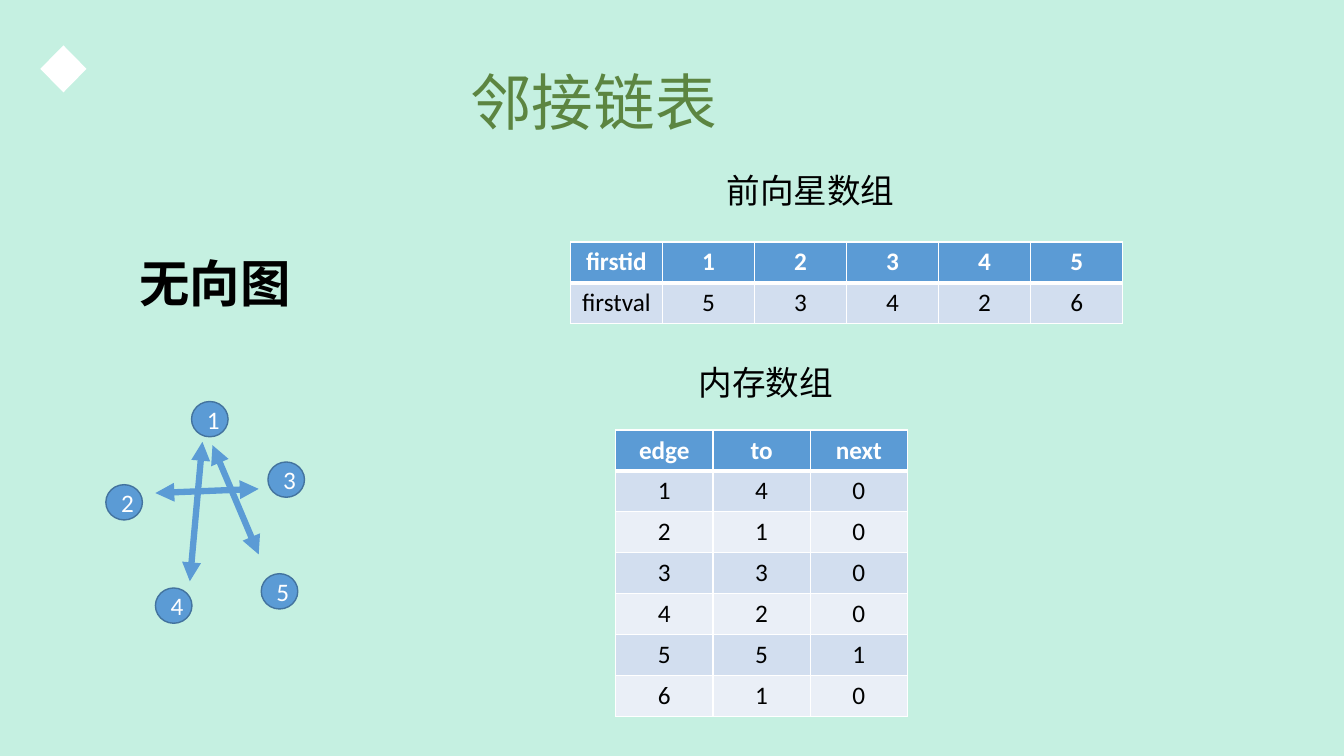
from lxml.etree import SubElement
from pptx import Presentation
from pptx.dml.color import RGBColor
from pptx.enum.shapes import MSO_CONNECTOR as Link, MSO_SHAPE as Preset
from pptx.enum.text import MSO_ANCHOR as Anchor, MSO_AUTO_SIZE as Fit, PP_ALIGN as Align
from pptx.oxml.ns import qn
from pptx.util import Inches, Pt

COLUMNS, ROWS = 160, 90
SLIDE_WIDTH, SLIDE_HEIGHT = Inches(13.33), Inches(7.5)

MINT, WHITE, BLACK, GREEN = "C5F0E1", "FFFFFF", "000000", "5C8541"
BLUE, NAVY, BANDS = "5B9BD5", "43739E", ("D2DEEF", "EAEFF7")
LATIN, CHINESE = "Calibri", "Noto Sans CJK SC"


def paint(fill, colour):
    fill.solid()
    fill.fore_color.rgb = RGBColor.from_string(colour)


def apply(target, values):
    for name, value in values.items():
        setattr(target, name, value)


class Board:
    def __init__(self, slide):
        self.slide = slide
        self.shapes = slide.shapes
        paint(slide.background.fill, MINT)

    def across(self, columns):
        return round(SLIDE_WIDTH * columns / COLUMNS)

    def down(self, rows):
        return round(SLIDE_HEIGHT * rows / ROWS)

    def box(self, left, top, width, height):
        return self.across(left), self.down(top), self.across(width), self.down(height)

    def wording(self, frame, words, size, colour, bold=False, align=Align.LEFT, face=LATIN):
        paragraph = frame.paragraphs[0]
        paragraph.alignment = align
        run = paragraph.add_run()
        run.text = words
        apply(run.font, {"name": face, "size": Pt(size), "bold": bold})
        paint(run.font.fill, colour)
        SubElement(run.font._element, qn("a:ea"), typeface=CHINESE)

    def text(self, place, words, size, colour=BLACK, **style):
        frame = self.shapes.add_textbox(*self.box(*place)).text_frame
        apply(frame, {"word_wrap": True, "auto_size": Fit.SHAPE_TO_FIT_TEXT})
        self.wording(frame, words, size, colour, **style)

    def shape(self, preset, place, fill, outline=None, words=None):
        shape = self.shapes.add_shape(preset, *self.box(*place))
        shape.shadow.inherit = False
        paint(shape.fill, fill)
        if outline:
            paint(shape.line.fill, outline)
            shape.line.width = Pt(1)
        else:
            shape.line.fill.background()
        if words:
            shape.text_frame.vertical_anchor = Anchor.MIDDLE
            self.wording(shape.text_frame, words, 18, WHITE, align=Align.CENTER)

    def double_arrow(self, start, end):
        arrow = self.shapes.add_connector(Link.STRAIGHT, *self.box(*start, *end))
        paint(arrow.line.fill, BLUE)
        arrow.line.width = Pt(4.5)
        properties = arrow._element.spPr
        for tip in ("a:headEnd", "a:tailEnd"):
            SubElement(properties.find(qn("a:ln")), qn(tip), type="triangle")
        SubElement(properties, qn("a:effectLst"))

    def borders(self, cell, widths):
        for side, width in widths.items():
            line = SubElement(cell._tc.get_or_add_tcPr(), qn(f"a:ln{side}"), w=str(int(Pt(width))))
            solid = SubElement(line, qn("a:solidFill"))
            SubElement(solid, qn("a:srgbClr"), val=WHITE)

    def table(self, left, top, column, row, records):
        count, fields = len(records), len(records[0])
        place = self.box(left, top, column * fields, row * count)
        table = self.shapes.add_table(count, fields, *place).table
        for track in table.columns:
            track.width = self.across(column)
        for track in table.rows:
            track.height = self.down(row)
        for r, record in enumerate(records):
            header = r == 0
            edges = {"L": 1, "R": 1, "T": 1, "B": 3} if header else {"L": 1, "R": 1, "B": 1}
            for c, value in enumerate(record):
                cell = table.cell(r, c)
                self.borders(cell, edges)
                paint(cell.fill, BLUE if header else BANDS[(r - 1) % 2])
                self.wording(cell.text_frame, str(value), 18, WHITE if header else BLACK,
                             bold=header, align=Align.CENTER)


def main():
    deck = Presentation()
    apply(deck, {"slide_width": SLIDE_WIDTH, "slide_height": SLIDE_HEIGHT})
    board = Board(deck.slides.add_slide(deck.slide_layouts[6]))

    board.shape(Preset.DIAMOND, (4.8, 5.4, 5.5, 5.6), WHITE)
    board.text((54.8, 7, 56.3, 10.1), "邻接链表", 44, GREEN, align=Align.JUSTIFY, face=CHINESE)

    first_edges = [("firstid", 1, 2, 3, 4, 5), ("firstval", 5, 3, 4, 2, 6)]
    board.table(67.9, 28.8, 10.96, 4.87, first_edges)
    board.text((85.3, 19.6, 64.1, 6), "前向星数组", 24)
    board.text((82, 42.5, 64.1, 6), "内存数组", 24)

    nodes = [(22.8, 47.8), (12.6, 57.7), (31.9, 55), (18.5, 70), (31.1, 68.3)]
    for number, corner in enumerate(nodes, 1):
        board.shape(Preset.OVAL, (*corner, 4.35, 4.2), BLUE, NAVY, str(number))

    links = [((25.3, 53), (30.8, 66)), ((18.5, 58.7), (30.8, 58.2)), ((24.1, 52.6), (22.6, 69.2))]
    for start, end in links:
        board.double_arrow(start, end)
    board.text((15.4, 29.4, 39.1, 8.5), "无向图", 36, bold=True)

    targets, following = (4, 1, 3, 2, 5, 1), (0, 0, 0, 0, 1, 0)
    edge_list = [("edge", "to", "next"), *zip(range(1, 7), targets, following)]
    board.table(73.3, 51.2, 11.58, 4.87, edge_list)

    deck.save("out.pptx")


if __name__ == "__main__":
    main()
